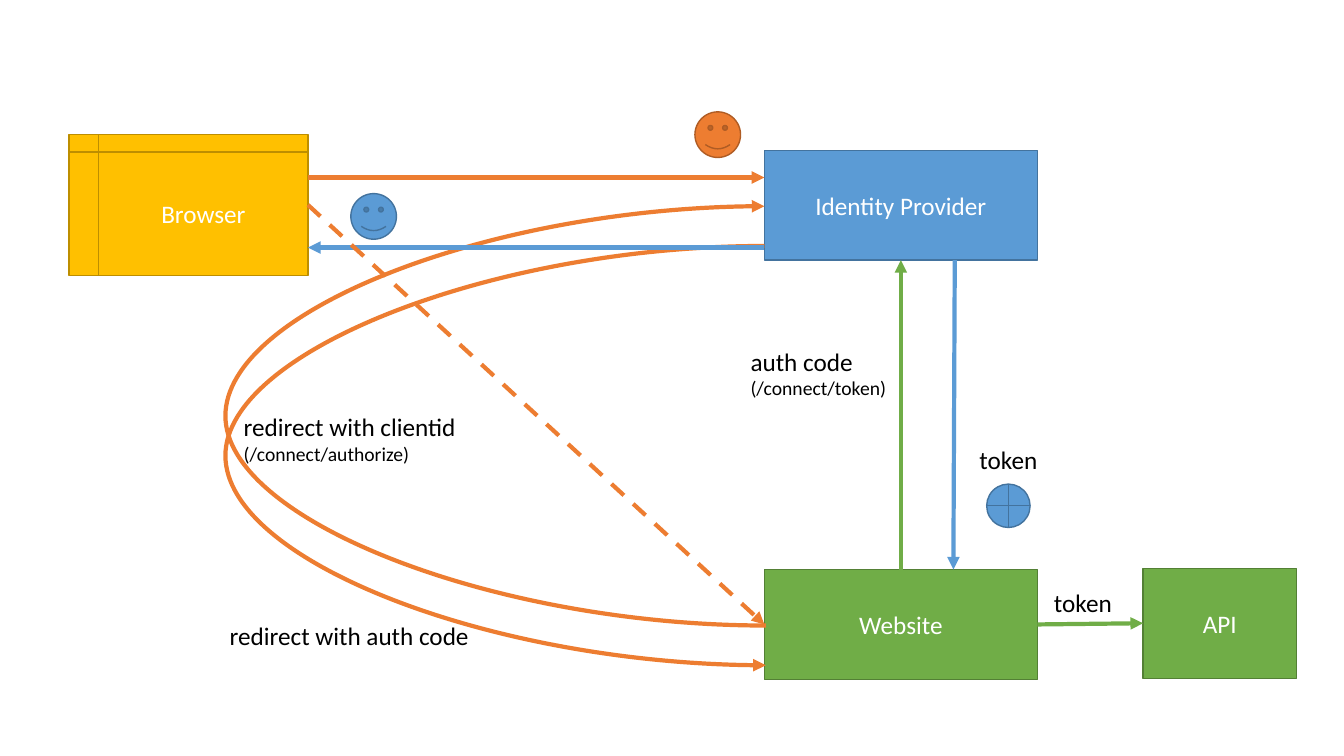
from dataclasses import dataclass
from typing import Any

from lxml import etree
from pptx import Presentation
from pptx.dml import color as dml_color
from pptx.enum import dml, shapes, text
from pptx.oxml import ns
from pptx.util import Pt


@dataclass(frozen=True)
class Theme:
    font: str = "Calibri"
    label_size: float = 18
    path_size: float = 14
    outline: float = 1
    arrow: float = 3
    white: str = "FFFFFF"
    black: str = "000000"
    green: str = "70AD47"
    green_edge: str = "538035"
    blue: str = "5B9BD5"
    blue_edge: str = "43739E"
    orange: str = "ED7D31"
    orange_edge: str = "AF5C24"
    yellow: str = "FFC000"
    yellow_edge: str = "BD8E00"


THEME = Theme()
SHAPE = shapes.MSO_SHAPE


@dataclass(frozen=True)
class Node:
    kind: Any
    left: float
    top: float
    width: float
    height: float
    fill: str
    edge: str
    label: str = ""


@dataclass(frozen=True)
class Arrow:
    start: tuple[float, float]
    end: tuple[float, float]
    color: str
    dashed: bool = False


@dataclass(frozen=True)
class Loop:
    """Curve that swings left from the website up to the identity provider."""
    top: float
    arrow_end: str


@dataclass(frozen=True)
class Caption:
    left: float
    top: float
    width: float
    label: str
    endpoint: str = ""


# Shared grid: both central boxes have the same column and size
BOX_LEFT, BOX_WIDTH, BOX_HEIGHT = 546, 195, 78.5
BOX_RIGHT = BOX_LEFT + BOX_WIDTH
PROVIDER_TOP, SITE_TOP = 107.3, 406.8
PROVIDER_BOTTOM = PROVIDER_TOP + BOX_HEIGHT
BROWSER_LEFT, BROWSER_WIDTH = 49.2, 170.8
BROWSER_RIGHT = BROWSER_LEFT + BROWSER_WIDTH
API_LEFT = 816.5
CODE_X = BOX_LEFT + BOX_WIDTH / 2
SITE_MIDDLE = SITE_TOP + BOX_HEIGHT / 2
LOOP_HEIGHT, LOOP_SWING = 299.5, 389.08

NODES = [
    Node(SHAPE.RECTANGLE, API_LEFT, 406, 109.5, BOX_HEIGHT,
         THEME.green, THEME.green_edge, "API"),
    Node(SHAPE.RECTANGLE, BOX_LEFT, PROVIDER_TOP, BOX_WIDTH, BOX_HEIGHT,
         THEME.blue, THEME.blue_edge, "Identity Provider"),
    Node(SHAPE.RECTANGLE, BOX_LEFT, SITE_TOP, BOX_WIDTH, BOX_HEIGHT,
         THEME.green, THEME.green_edge, "Website"),
    Node(SHAPE.FLOWCHART_INTERNAL_STORAGE, BROWSER_LEFT, 96, BROWSER_WIDTH, 100.8,
         THEME.yellow, THEME.yellow_edge, "Browser"),
]
LOOPS = [Loop(147.3, "tailEnd"), Loop(175.7, "headEnd")]
ARROWS = [
    Arrow((CODE_X, SITE_TOP), (CODE_X, PROVIDER_BOTTOM), THEME.green),
    Arrow((BROWSER_RIGHT, 126.8), (BOX_LEFT, 126.8), THEME.orange),
    Arrow((682, PROVIDER_BOTTOM), (681, SITE_TOP), THEME.blue),
    Arrow((BOX_LEFT, 176.8), (BROWSER_RIGHT, 176.8), THEME.blue),
    Arrow((BROWSER_RIGHT, 146.4), (BOX_LEFT, SITE_MIDDLE), THEME.orange, True),
    Arrow((BOX_RIGHT, SITE_MIDDLE), (API_LEFT, 445.2), THEME.green),
]
CAPTIONS = [
    Caption(157, 439.5, 187, "redirect with auth code"),
    Caption(167, 290.5, 168, "redirect with clientid", "(/connect/authorize)"),
    Caption(529, 243.5, 112, "auth code", "(/connect/token)"),
    Caption(692.6, 314, 56, "token"),
    Caption(745.8, 415.8, 56, "token"),
]
ICONS = [
    Node(SHAPE.SMILEY_FACE, 250.6, 138.3, 32.6, 32.6, THEME.blue, THEME.blue_edge),
    Node(SHAPE.SMILEY_FACE, 496.4, 79.9, 32.6, 32.6, THEME.orange, THEME.orange_edge),
    Node(SHAPE.FLOWCHART_OR, 704.8, 345.8, 31, 31, THEME.blue, THEME.blue_edge),
]


def apply(target: Any, values: dict[str, Any]) -> None:
    for name, value in values.items():
        setattr(target, name, value)


def rgb(code: str) -> dml_color.RGBColor:
    return dml_color.RGBColor.from_string(code)


def write(paragraph: Any, words: str, size: float, color: str) -> None:
    run = paragraph.add_run()
    run.text = words
    apply(run.font, {"name": THEME.font, "size": Pt(size)})
    run.font.color.rgb = rgb(color)


def draw_node(slide: Any, node: Node) -> None:
    body = slide.shapes.add_shape(
        node.kind, Pt(node.left), Pt(node.top), Pt(node.width), Pt(node.height))
    body.shadow.inherit = False
    body.fill.solid()
    body.fill.fore_color.rgb = rgb(node.fill)
    body.line.color.rgb = rgb(node.edge)
    body.line.width = Pt(THEME.outline)
    if node.label:
        body.text_frame.vertical_anchor = text.MSO_ANCHOR.MIDDLE
        paragraph = body.text_frame.paragraphs[0]
        paragraph.alignment = text.PP_ALIGN.CENTER
        write(paragraph, node.label, THEME.label_size, THEME.white)


def draw_arrow(slide: Any, arrow: Arrow, kind: Any = shapes.MSO_CONNECTOR.STRAIGHT,
               arrow_end: str = "tailEnd") -> Any:
    link = slide.shapes.add_connector(kind, *map(Pt, arrow.start + arrow.end))
    link.line.color.rgb = rgb(arrow.color)
    link.line.width = Pt(THEME.arrow)
    if arrow.dashed:
        link.line.dash_style = dml.MSO_LINE.DASH
    properties = link._element.spPr
    outline = properties.find(ns.qn("a:ln"))
    etree.SubElement(outline, ns.qn(f"a:{arrow_end}"), type="triangle")
    etree.SubElement(properties, ns.qn("a:effectLst"))
    return link


def draw_loop(slide: Any, loop: Loop) -> None:
    # A one-point-wide curve, turned half round, with its bend far to the left
    span = Arrow((BOX_LEFT, loop.top), (BOX_LEFT + 1, loop.top + LOOP_HEIGHT), THEME.orange)
    link = draw_arrow(slide, span, shapes.MSO_CONNECTOR.CURVE, loop.arrow_end)
    properties = link._element.spPr
    properties.find(ns.qn("a:xfrm")).set("rot", str(180 * 60000))
    guides = properties.find(ns.qn("a:prstGeom")).get_or_add_avLst()
    etree.SubElement(guides, ns.qn("a:gd"), name="adj1",
                     fmla=f"val {round(LOOP_SWING * 100000)}")


def draw_caption(slide: Any, caption: Caption) -> None:
    height = 46 if caption.endpoint else 29
    frame = slide.shapes.add_textbox(
        Pt(caption.left), Pt(caption.top), Pt(caption.width), Pt(height)).text_frame
    apply(frame, {"word_wrap": False, "auto_size": text.MSO_AUTO_SIZE.SHAPE_TO_FIT_TEXT})
    write(frame.paragraphs[0], caption.label, THEME.label_size, THEME.black)
    if caption.endpoint:
        write(frame.add_paragraph(), caption.endpoint, THEME.path_size, THEME.black)


deck = Presentation()
apply(deck, {"slide_width": Pt(960), "slide_height": Pt(540)})
flow = deck.slides.add_slide(deck.slide_layouts[6])

# Parties, then the messages between them, then captions and token icons
for party in NODES:
    draw_node(flow, party)
for redirect in LOOPS:
    draw_loop(flow, redirect)
for message in ARROWS:
    draw_arrow(flow, message)
for note in CAPTIONS:
    draw_caption(flow, note)
for icon in ICONS:
    draw_node(flow, icon)

deck.save("out.pptx")
